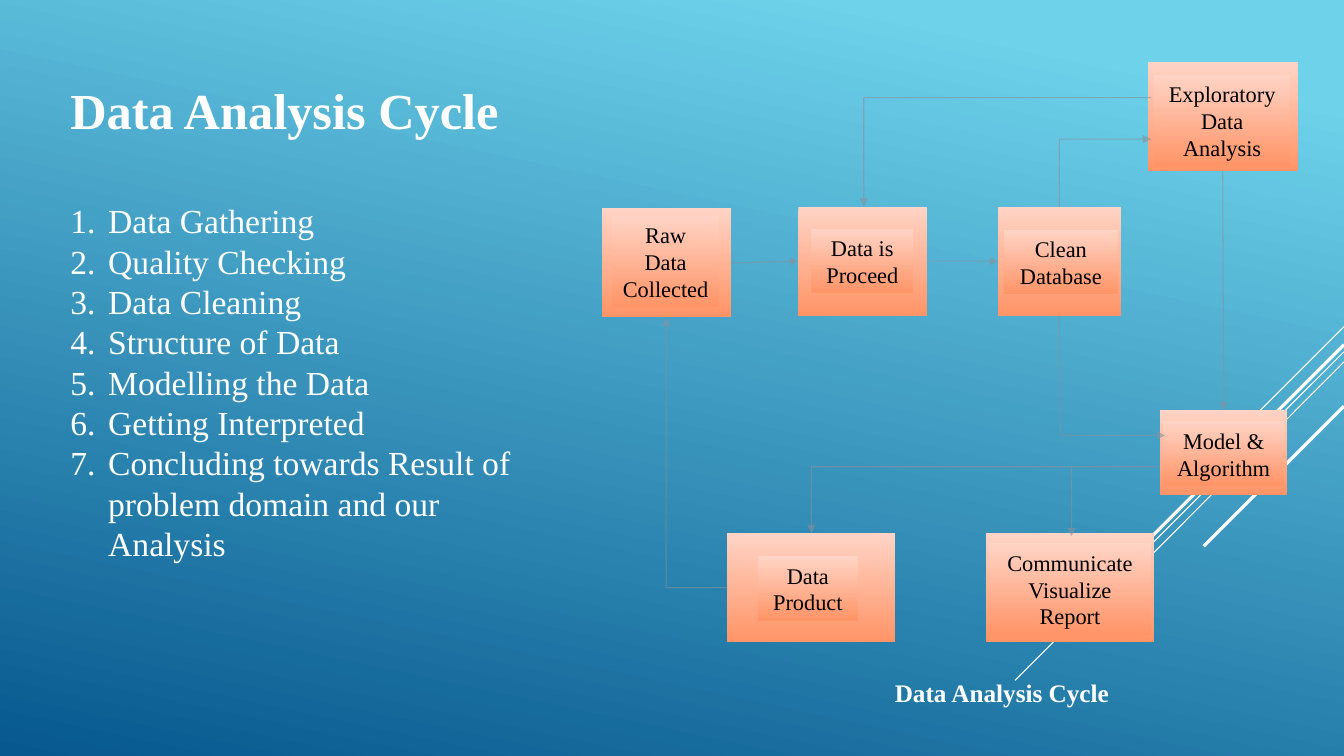
"""Build the Data Analysis Cycle slide with its numbered steps and flow diagram."""
from typing import NamedTuple

from lxml.etree import SubElement
from pptx import Presentation
from pptx.dml.color import RGBColor
from pptx.dml.fill import FillFormat
from pptx.enum.shapes import MSO_CONNECTOR, MSO_SHAPE
from pptx.enum.text import PP_ALIGN
from pptx.oxml.ns import qn
from pptx.slide import Slide
from pptx.text.text import TextFrame, _Paragraph
from pptx.util import Pt

WHITE = RGBColor(0xFF, 0xFF, 0xFF)
BLACK = RGBColor(0x00, 0x00, 0x00)
SKY = RGBColor(0x6E, 0xD2, 0xEB)
NAVY = RGBColor(0x06, 0x58, 0x8E)
PEACH = RGBColor(0xFF, 0xD4, 0xC6)
ORANGE = RGBColor(0xFF, 0x94, 0x67)
GREY = RGBColor(0x89, 0x91, 0x9C)

FONT = "Times New Roman"
TITLE_FORMAT = {"name": FONT, "size": Pt(36), "bold": True}
STEP_FORMAT = {"name": FONT, "size": Pt(24), "bold": False}
LABEL_FORMAT = {"name": FONT, "size": Pt(16), "bold": False}
CAPTION_FORMAT = {"name": FONT, "size": Pt(18), "bold": True}
STEP_INDENT = Pt(27)
TITLE_GAP = Pt(43)


class Box(NamedTuple):
    """A rectangle in points."""
    left: float
    top: float
    width: float
    height: float


class Stage(NamedTuple):
    """A stage of the cycle: outer card, inner label and its text."""
    card: Box
    label: Box
    text: str


class Line(NamedTuple):
    """A line in points; a bent line runs across first, then down or up."""
    start: tuple[float, float]
    end: tuple[float, float]
    arrow: str = "tailEnd"
    bent: bool = False


STAGES = [
    Stage(Box(820.1, 44.6, 107.3, 77.8), Box(824.4, 53.3, 97.2, 65.5), "Exploratory Data Analysis"),
    Stage(Box(828.7, 293, 90.7, 60.5), Box(830.9, 301, 86.4, 46.1), "Model & Algorithm"),
    Stage(Box(704.2, 380.9, 120.2, 77.8), Box(706.3, 388.1, 115.9, 65.5), "Communicate Visualize Report"),
    Stage(Box(519.1, 380.9, 120.2, 77.8), Box(541.4, 397.4, 71.3, 46.1), "Data Product"),
    Stage(Box(429.8, 148.3, 92.2, 77.8), Box(437, 154.1, 77, 65.5), "Raw Data Collected"),
    Stage(Box(570.2, 147.6, 92.2, 77.8), Box(579.6, 163.4, 72.7, 46.1), "Data is Proceed"),
    Stage(Box(712.8, 147.6, 87.8, 77.8), Box(717.1, 164.2, 81.4, 46.1), "Clean Database"),
]
THIN_RAYS = [
    Line((960, 233.3), (888, 305.3), ""),
    Line((960, 251.3), (725, 486), ""),
    Line((960, 258.5), (810.7, 408.2), ""),
]
THICK_RAYS = [
    Line((960, 246.2), (822.2, 383.8), ""),
    Line((960, 290.2), (859.7, 390.2), ""),
]
FLOWS = [
    Line((822.2, 99.4), (756.7, 147.6), "headEnd", True),
    Line((822.2, 69.8), (617, 147.6), bent=True),
    Line((828, 333.4), (579.6, 380.9), bent=True),
    Line((765.4, 333.4), (765.4, 383)),
    Line((519.1, 419.8), (475.9, 226.8), bent=True),
    Line((522, 187.9), (570.2, 186.5)),
    Line((663.1, 186.5), (712.8, 186.5)),
    Line((873.4, 122.4), (874.1, 293)),
    Line((756.7, 225.4), (757.4, 311), ""),
    Line((757.4, 311), (832.3, 311)),
]
TITLE = "Data Analysis Cycle"
STEPS = [
    "Data Gathering",
    "Quality Checking",
    "Data Cleaning",
    "Structure of Data",
    "Modelling the Data",
    "Getting Interpreted",
    "Concluding towards Result of problem domain and our Analysis",
]


def set_gradient(fill: FillFormat, angle: float, first: RGBColor, last: RGBColor, start: float = 0) -> None:
    """Apply a two-colour linear gradient."""
    fill.gradient()
    fill.gradient_angle = angle
    for stop, color, position in zip(fill.gradient_stops, (first, last), (start, 1)):
        stop.color.rgb = color
        stop.position = position


def write(paragraph: _Paragraph, text: str, font_format: dict, color: RGBColor) -> None:
    """Add one formatted run to a paragraph."""
    run = paragraph.add_run()
    run.text = text
    for name, value in font_format.items():
        setattr(run.font, name, value)
    run.font.color.rgb = color


def add_rectangle(slide: Slide, box: Box, text: str = "") -> None:
    """Draw a peach gradient rectangle, with centred text if given."""
    shape = slide.shapes.add_shape(MSO_SHAPE.RECTANGLE, *map(Pt, box))
    shape.shadow.inherit = False
    shape.line.fill.background()
    set_gradient(shape.fill, 270, PEACH, ORANGE)
    if text:
        shape.text_frame.word_wrap = True
        paragraph = shape.text_frame.paragraphs[0]
        paragraph.alignment = PP_ALIGN.CENTER
        write(paragraph, text, LABEL_FORMAT, BLACK)


def add_line(slide: Slide, line: Line, color: RGBColor, width: float, opacity: int = 100) -> None:
    """Draw a straight or bent line with its arrowhead."""
    kind = MSO_CONNECTOR.ELBOW if line.bent else MSO_CONNECTOR.STRAIGHT
    connector = slide.shapes.add_connector(kind, *map(Pt, line.start + line.end))
    connector.line.color.rgb = color
    connector.line.width = Pt(width)
    properties = connector._element.spPr
    if line.bent:
        properties.find(qn("a:prstGeom")).set("prst", "bentConnector2")
    if opacity < 100:
        alpha = SubElement(next(properties.iter(qn("a:srgbClr"))), qn("a:alpha"))
        alpha.set("val", str(opacity * 1000))
    if line.arrow:
        SubElement(properties.find(qn("a:ln")), qn(f"a:{line.arrow}")).set("type", "triangle")
    SubElement(properties, qn("a:effectLst"))


def add_text_frame(slide: Slide, box: Box) -> TextFrame:
    """Add a wrapping text box and return its text frame."""
    text_frame = slide.shapes.add_textbox(*map(Pt, box)).text_frame
    text_frame.word_wrap = True
    return text_frame


def add_steps(slide: Slide) -> None:
    """Write the title and the numbered steps."""
    text_frame = add_text_frame(slide, Box(43.2, 53.3, 349.9, 356.4))
    title = text_frame.paragraphs[0]
    title.space_after = TITLE_GAP
    write(title, TITLE, TITLE_FORMAT, WHITE)
    for step in STEPS:
        paragraph = text_frame.add_paragraph()
        write(paragraph, step, STEP_FORMAT, WHITE)
        properties = paragraph._p.get_or_add_pPr()
        properties.set("marL", str(STEP_INDENT))
        properties.set("indent", str(-STEP_INDENT))
        SubElement(properties, qn("a:buAutoNum")).set("type", "arabicPeriod")


def main() -> None:
    """Build and save the slide."""
    presentation = Presentation()
    presentation.slide_width = Pt(960)
    presentation.slide_height = Pt(540)
    slide = presentation.slides.add_slide(presentation.slide_layouts[6])
    set_gradient(slide.background.fill, 258, SKY, NAVY, 0.1)
    for rays, width in ((THIN_RAYS, 0.75), (THICK_RAYS, 2.25)):
        for ray in rays:
            add_line(slide, ray, WHITE, width)
    for stage in STAGES:
        add_rectangle(slide, stage.card)
    for stage in STAGES:
        add_rectangle(slide, stage.label, stage.text)
    for flow in FLOWS:
        add_line(slide, flow, GREY, 0.75, 60)
    add_steps(slide)
    caption = add_text_frame(slide, Box(539.3, 480.2, 352.8, 28.8)).paragraphs[0]
    caption.alignment = PP_ALIGN.CENTER
    write(caption, TITLE, CAPTION_FORMAT, WHITE)
    presentation.save("out.pptx")


if __name__ == "__main__":
    main()
